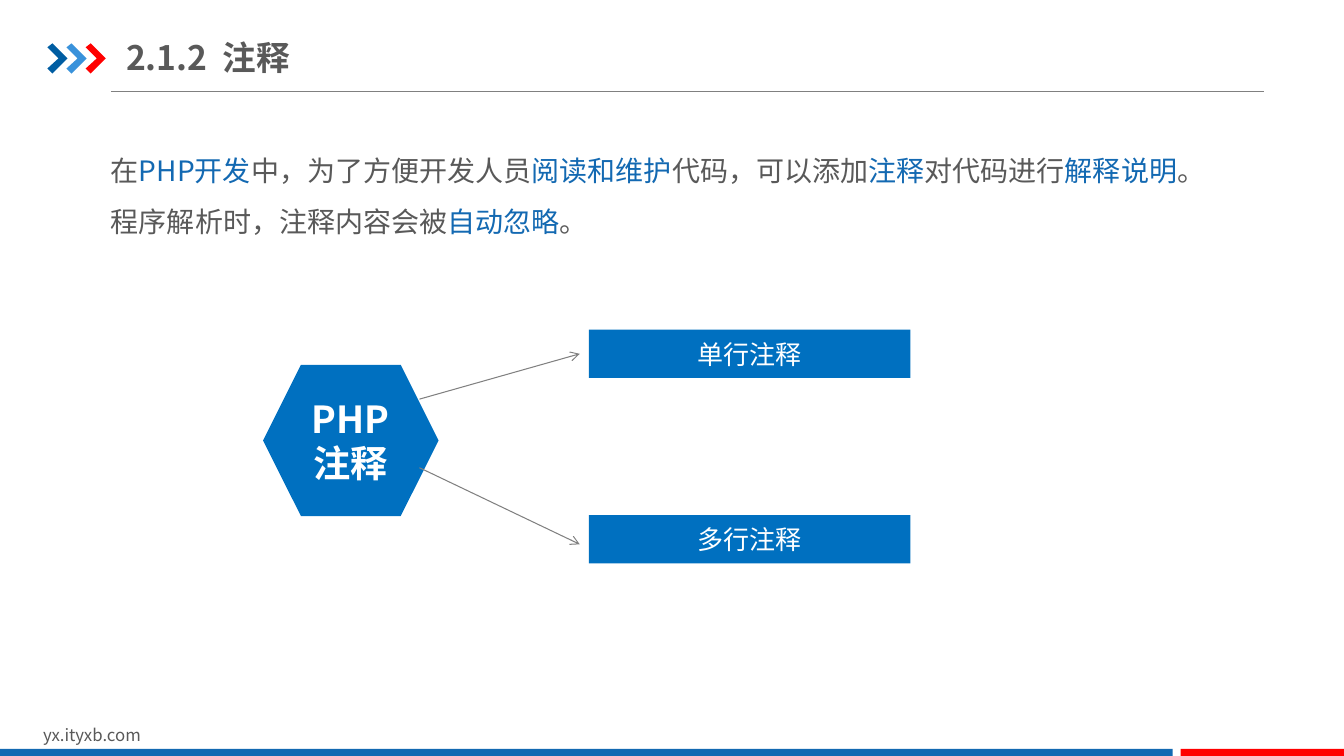
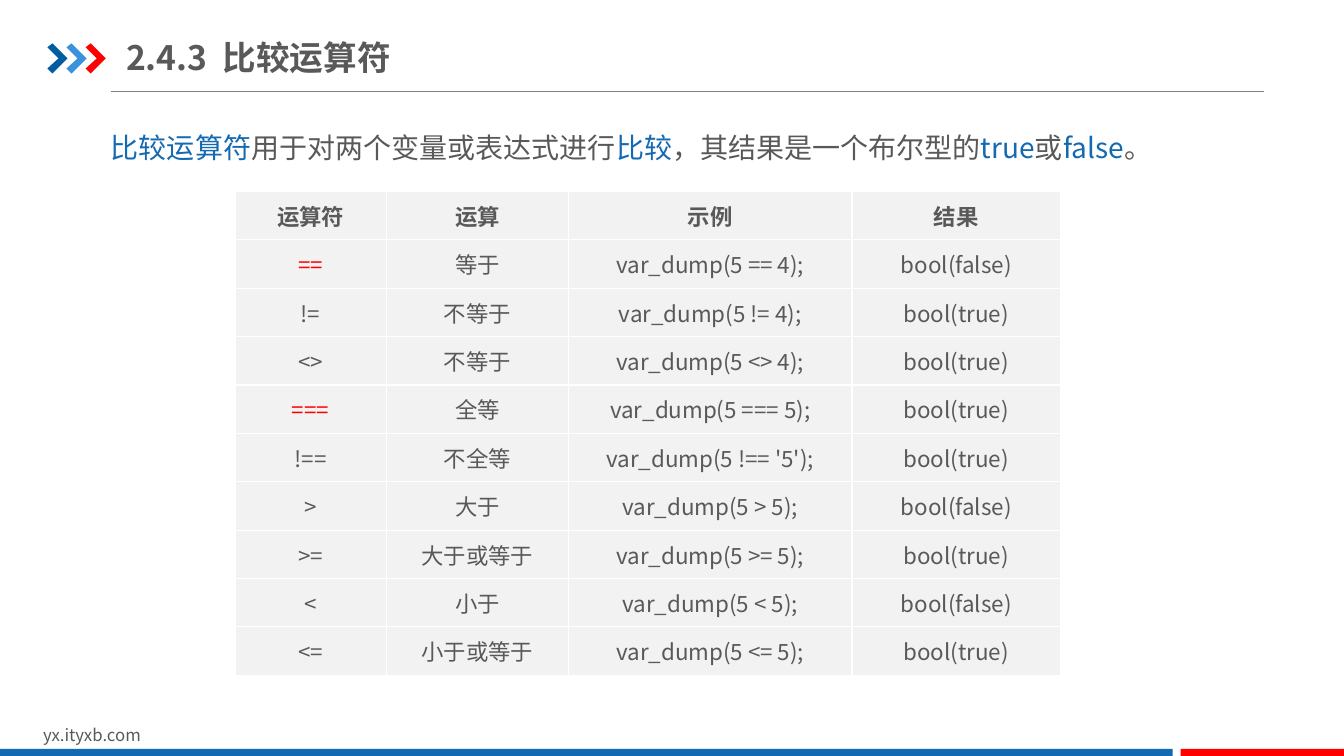
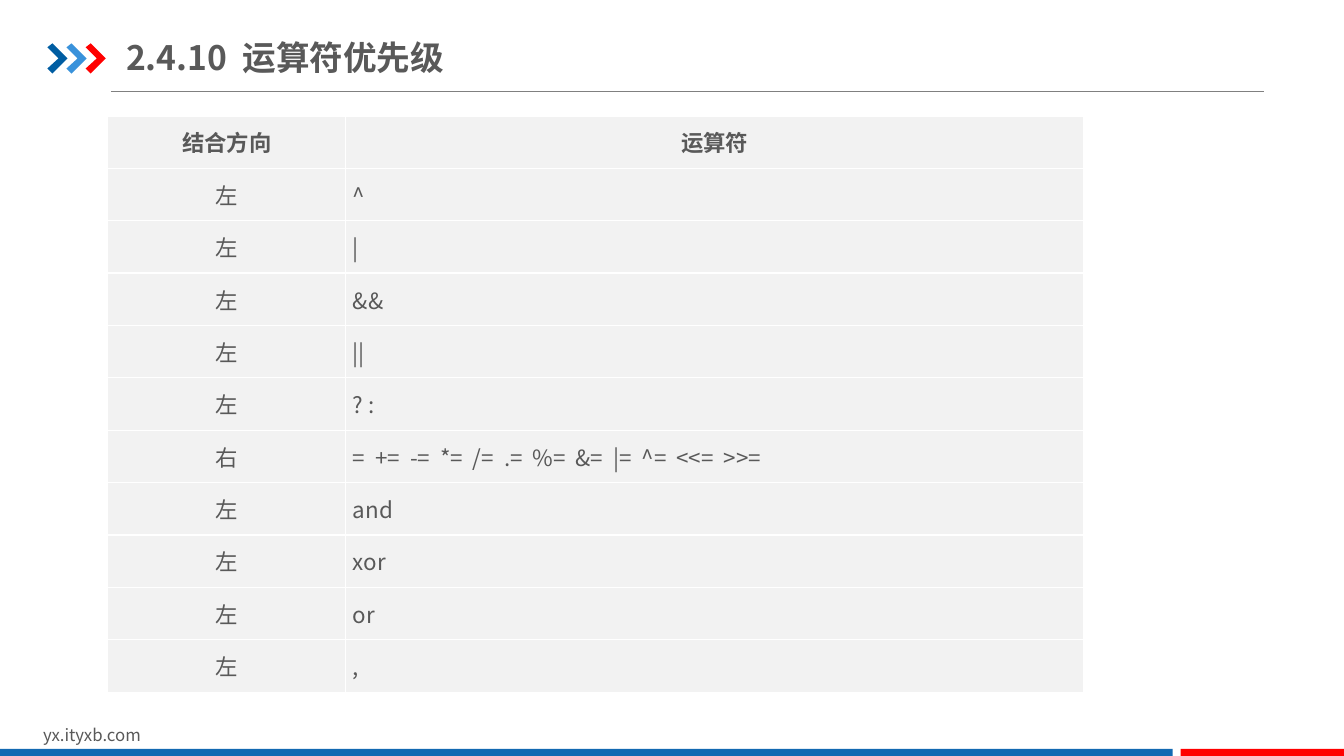
from lxml import etree
from pptx import Presentation
from pptx.dml.color import RGBColor
from pptx.enum.shapes import MSO_CONNECTOR, MSO_SHAPE, PP_PLACEHOLDER
from pptx.enum.text import MSO_ANCHOR, MSO_AUTO_SIZE, PP_ALIGN
from pptx.oxml.ns import qn
from pptx.util import Inches, Pt

RECTANGLE, HEXAGON = MSO_SHAPE.RECTANGLE, MSO_SHAPE.HEXAGON
STRAIGHT = MSO_CONNECTOR.STRAIGHT
MIDDLE, TOP = MSO_ANCHOR.MIDDLE, MSO_ANCHOR.TOP
LEFT, CENTER, JUSTIFY = PP_ALIGN.LEFT, PP_ALIGN.CENTER, PP_ALIGN.JUSTIFY
FIT_NONE = MSO_AUTO_SIZE.NONE
FOOTER_KINDS = (PP_PLACEHOLDER.DATE, PP_PLACEHOLDER.FOOTER, PP_PLACEHOLDER.SLIDE_NUMBER)

FONT = "Noto Sans CJK SC"
TEXT = RGBColor(0x59, 0x59, 0x59)
ACCENT = RGBColor(0x13, 0x69, 0xB2)
NODE = RGBColor(0x00, 0x70, 0xC0)
RED = RGBColor(0xFF, 0x00, 0x00)
GRAY = RGBColor(0x80, 0x80, 0x80)
CELL = RGBColor(0xF2, 0xF2, 0xF2)
WHITE = RGBColor(0xFF, 0xFF, 0xFF)
CHEVRON_COLORS = (RGBColor(0x00, 0x5D, 0xA2), RGBColor(0x39, 0x92, 0xDB), RED)
CHEVRON = ((0, 0.04), (0.05, 0), (0.2, 0.15), (0.05, 0.3), (0, 0.25), (0.11, 0.15))

WIDTH, HEIGHT = 13.33, 7.5
SITE = "yx.ityxb.com"

# Every second piece between bars is highlighted.
COMMENT_INTRO = [
    "在|PHP开发|中，为了方便开发人员|阅读和维护|代码，可以添加|注释|对代码进行|解释说明|。",
    "程序解析时，注释内容会被|自动忽略|。",
]
COMMENT_KINDS = [("单行注释", 3.27, (3.96, 3.51)), ("多行注释", 5.11, (4.64, 5.4))]

COMPARISON_INTRO = [
    "|比较运算符|用于对两个变量或表达式进行|比较|，其结果是一个布尔型的|true|或|false|。",
]
COMPARISONS = [
    ("运算符", "运算", "示例", "结果"),
    ("==", "等于", "var_dump(5 == 4);", "bool(false)"),
    ("!=", "不等于", "var_dump(5 != 4);", "bool(true)"),
    ("<>", "不等于", "var_dump(5 <> 4);", "bool(true)"),
    ("===", "全等", "var_dump(5 === 5);", "bool(true)"),
    ("!==", "不全等", "var_dump(5 !== '5');", "bool(true)"),
    (">", "大于", "var_dump(5 > 5);", "bool(false)"),
    (">=", "大于或等于", "var_dump(5 >= 5);", "bool(true)"),
    ("<", "小于", "var_dump(5 < 5);", "bool(false)"),
    ("<=", "小于或等于", "var_dump(5 <= 5);", "bool(true)"),
]
PRECEDENCE = [
    ("结合方向", "运算符"),
    ("左", "^"),
    ("左", "|"),
    ("左", "&&"),
    ("左", "||"),
    ("左", "? :"),
    ("右", "=  +=  -=  *=  /=  .=  %=  &=  |=  ^=  <<=  >>="),
    ("左", "and"),
    ("左", "xor"),
    ("左", "or"),
    ("左", ","),
]


def inches(*values):
    return [Inches(value) for value in values]


def highlight(line):
    """Split a line at its bars into (text, colour) spans."""
    return [(piece, ACCENT if index % 2 else TEXT)
            for index, piece in enumerate(line.split("|")) if piece]


def write(frame, lines, size, color=TEXT, bold=False, align=LEFT, spacing=1.0):
    """Fill a text frame; a line is a string or a list of (text, colour) spans."""
    for index, line in enumerate(lines):
        para = frame.paragraphs[0] if index == 0 else frame.add_paragraph()
        para.alignment, para.line_spacing = align, spacing
        para.space_before = Pt(0)
        for text, tint in [(line, color)] if isinstance(line, str) else line:
            span = para.add_run()
            span.text = text
            span.font.size, span.font.bold, span.font.name = Pt(size), bold, FONT
            span.font.color.rgb = tint
            etree.SubElement(span.font._element, qn("a:ea"), typeface=FONT)


def set_frame(frame, margins, anchor):
    frame.word_wrap, frame.auto_size = True, FIT_NONE
    frame.vertical_anchor = anchor
    (frame.margin_left, frame.margin_top,
     frame.margin_right, frame.margin_bottom) = inches(*margins)


def paint(shape, color):
    shape.shadow.inherit = False
    shape.fill.solid()
    shape.fill.fore_color.rgb = color
    shape.line.fill.background()
    return shape


def add_block(page, kind, area, color):
    return paint(page.shapes.add_shape(kind, *inches(*area)), color)


def add_node(page, kind, area, label, size, bold=False):
    box = add_block(page, kind, area, NODE)
    set_frame(box.text_frame, (0.1, 0.05, 0.1, 0.05), MIDDLE)
    write(box.text_frame, [label], size, color=WHITE, bold=bold, align=CENTER)


def add_line(page, start, end, arrow=False):
    line = page.shapes.add_connector(STRAIGHT, *inches(*start, *end))
    line.line.color.rgb, line.line.width = GRAY, Pt(0.75)
    if arrow:
        etree.SubElement(line.line._get_or_add_ln(), qn("a:tailEnd"), type="arrow")
    etree.SubElement(line.element.spPr, qn("a:effectLst"))
    return line


def add_chevron(page, left, top, color):
    points = [inches(left + x, top + y) for x, y in CHEVRON]
    outline = page.shapes.build_freeform(*points[0], scale=1.0)
    outline.add_line_segments(points[1:], close=True)
    return paint(outline.convert_to_shape(), color)


def furnish_master(deck, page):
    """Draw the shared parts on a page and move them to the slide master."""
    site = page.shapes.add_textbox(*inches(0.33, 7.14, 3.18, 0.3))
    set_frame(site.text_frame, (0.1, 0.05, 0.1, 0.05), TOP)
    write(site.text_frame, [SITE], 12)
    bar_top, red_left = 7.43, 11.71
    parts = [add_line(page, (1.1, 0.91), (12.54, 0.91))]
    parts += [add_chevron(page, 0.47 + 0.19 * index, 0.43, color)
              for index, color in enumerate(CHEVRON_COLORS)]
    parts += [
        site,
        add_block(page, RECTANGLE, (0, bar_top, red_left - 0.08, 0.09), ACCENT),
        add_block(page, RECTANGLE, (red_left, bar_top, WIDTH - red_left, 0.09), RED),
    ]
    for part in parts:
        deck.slide_master.shapes.element.append(part.element)


def strip_template(deck, kept):
    """Drop unused layouts and the template's own footer placeholders."""
    for layout in list(deck.slide_layouts):
        if layout.name not in [used.name for used in kept]:
            deck.slide_layouts.remove(layout)
    for owner in [deck.slide_master, *deck.slide_layouts]:
        for holder in list(owner.placeholders):
            if holder.placeholder_format.type in FOOTER_KINDS:
                holder.element.getparent().remove(holder.element)


def place(shape, area):
    shape.left, shape.top, shape.width, shape.height = inches(*area)


def add_page(deck, layout, title):
    page = deck.slides.add_slide(layout)
    heading = page.shapes.title
    place(heading, (1.25, 0.29, 10, 0.55))
    set_frame(heading.text_frame, (0, 0.07, 0, 0.07), MIDDLE)
    write(heading.text_frame, [title], 24, bold=True)
    return page


def add_intro(page, area, lines):
    body = page.placeholders[1]
    place(body, area)
    set_frame(body.text_frame, (0.1, 0.05, 0.1, 0.05), TOP)
    write(body.text_frame, [highlight(line) for line in lines], 20, spacing=1.5)
    for para in body.text_frame.paragraphs:
        properties = para._p.get_or_add_pPr()
        properties.set("marL", "0")
        properties.set("indent", "0")
        etree.SubElement(properties, qn("a:buNone"))


def border_cell(cell, color, width):
    properties = cell._tc.get_or_add_tcPr()
    for index, side in enumerate(("lnL", "lnR", "lnT", "lnB")):
        edge = etree.Element(qn(f"a:{side}"), w=str(Pt(width)))
        fill = etree.SubElement(edge, qn("a:solidFill"))
        etree.SubElement(fill, qn("a:srgbClr"), val=str(color))
        properties.insert(index, edge)


def add_grid(page, left, top, widths, row_height, rows, aligns, red=()):
    """Add a table; body cells whose text is in red are coloured red."""
    area = (left, top, sum(widths), row_height * len(rows))
    table = page.shapes.add_table(len(rows), len(widths), *inches(*area)).table
    table.horz_banding = False
    for column, width in zip(table.columns, widths):
        column.width = Inches(width)
    for row_index, row in enumerate(rows):
        table.rows[row_index].height = Inches(row_height)
        header = row_index == 0
        for column_index, text in enumerate(row):
            cell = table.cell(row_index, column_index)
            cell.fill.solid()
            cell.fill.fore_color.rgb = CELL
            cell.vertical_anchor = MIDDLE
            cell.margin_left = cell.margin_right = Inches(0.07)
            cell.margin_top = cell.margin_bottom = 0
            border_cell(cell, WHITE, 1)
            write(cell.text_frame, [text], 16, color=RED if text in red else TEXT,
                  bold=header, align=CENTER if header else aligns[column_index])


def main():
    deck = Presentation()
    deck.slide_width, deck.slide_height = inches(WIDTH, HEIGHT)
    with_body, title_only = deck.slide_layouts[1], deck.slide_layouts[5]
    strip_template(deck, (with_body, title_only))

    comments = add_page(deck, with_body, "2.1.2  注释")
    furnish_master(deck, comments)
    add_intro(comments, (1, 1.31, 11.65, 1.11), COMMENT_INTRO)
    add_node(comments, HEXAGON, (2.61, 3.62, 1.74, 1.5), "PHP注释", 26.6, bold=True)
    for label, top, (start, end) in COMMENT_KINDS:
        add_node(comments, RECTANGLE, (5.84, top, 3.19, 0.48), label, 18.6)
        add_line(comments, (4.16, start), (5.75, end), arrow=True)

    comparison = add_page(deck, with_body, "2.4.3  比较运算符")
    add_intro(comparison, (1, 1.08, 11.42, 0.61), COMPARISON_INTRO)
    add_grid(comparison, 2.33, 1.9, (1.5, 1.81, 2.81, 2.07), 0.48, COMPARISONS,
             [CENTER] * 4, red=("==", "==="))

    precedence = add_page(deck, title_only, "2.4.10  运算符优先级")
    add_grid(precedence, 1.07, 1.15, (2.36, 7.32), 0.52, PRECEDENCE, (CENTER, JUSTIFY))

    deck.save("out.pptx")


if __name__ == "__main__":
    main()
